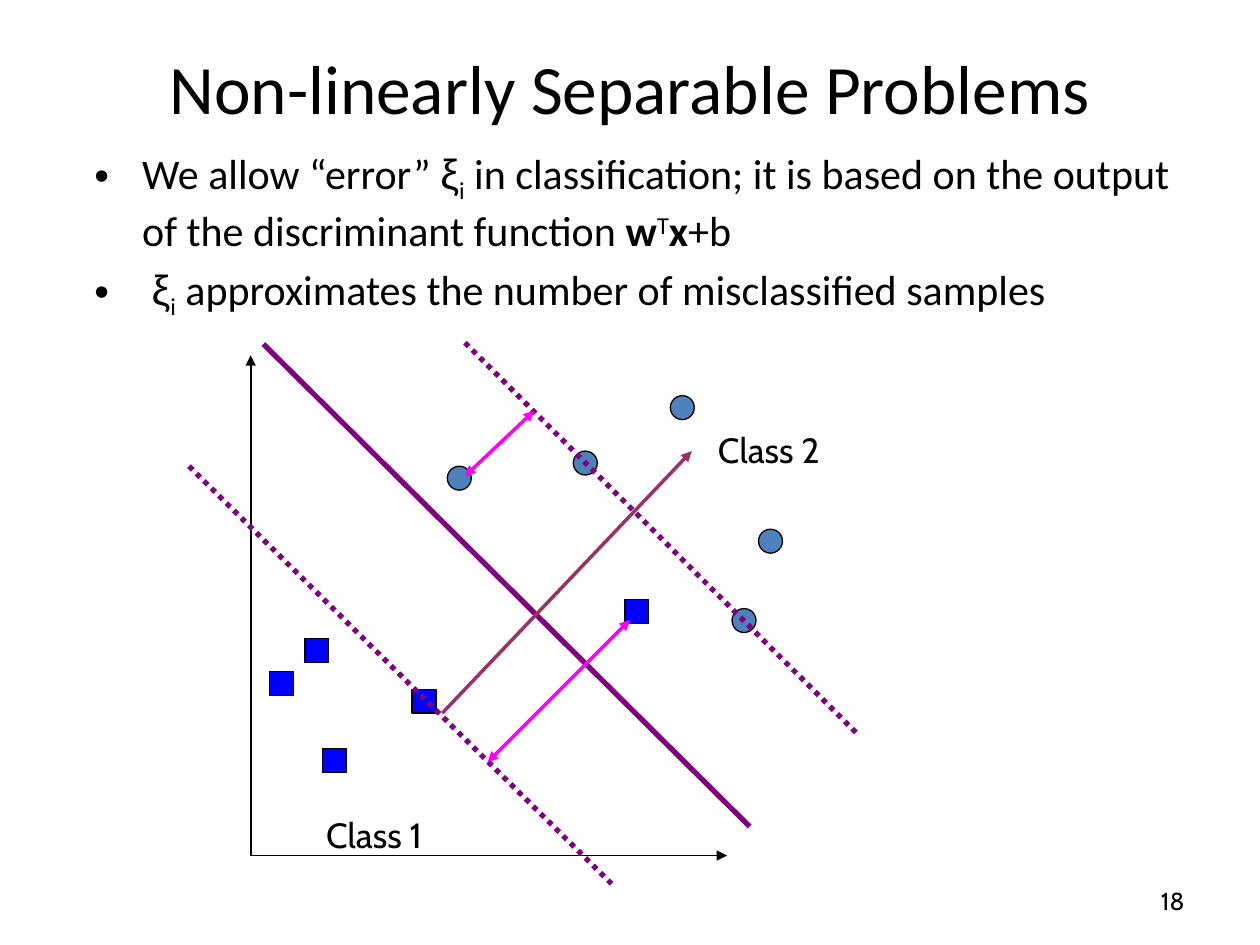
from dataclasses import dataclass

from lxml import etree
from pptx import Presentation
from pptx.dml.color import RGBColor
from pptx.enum.dml import MSO_LINE
from pptx.enum.shapes import MSO_CONNECTOR, MSO_SHAPE
from pptx.enum.text import MSO_ANCHOR, MSO_AUTO_SIZE, PP_ALIGN
from pptx.oxml.ns import qn
from pptx.util import Inches, Pt

STRAIGHT = MSO_CONNECTOR.STRAIGHT
OVAL, SQUARE = MSO_SHAPE.OVAL, MSO_SHAPE.RECTANGLE
DOTTED = MSO_LINE.ROUND_DOT
LEFT, CENTER, RIGHT = PP_ALIGN.LEFT, PP_ALIGN.CENTER, PP_ALIGN.RIGHT
TOP, MIDDLE = MSO_ANCHOR.TOP, MSO_ANCHOR.MIDDLE
GROW = MSO_AUTO_SIZE.SHAPE_TO_FIT_TEXT

COLORS = {
    "text": "000000",
    "axis": "000000",
    "class 1": "0000FF",
    "class 2": "4F81BD",
    "boundary": "800080",
    "normal": "993366",
    "error": "FF00FF",
}
MARKER_SIZE = 0.19
BULLET_INDENT = 0.38


@dataclass
class TextRun:
    text: str
    font: str = "Calibri"
    bold: bool = False
    baseline: int = 0  # percent of the text size


@dataclass
class Label:
    box: tuple[float, float, float, float]
    text: str
    size: float
    font: str = "Cabin"
    align: PP_ALIGN = LEFT
    anchor: MSO_ANCHOR = TOP
    wrap: bool = True


@dataclass
class Line:
    start: tuple[float, float]
    end: tuple[float, float]
    color: str
    width: float
    arrows: tuple[str, ...] = ()
    dotted: bool = False


LABELS = [
    Label((0.5, 0.3, 9, 0.78), "Non-linearly Separable Problems", 39.6,
          "Calibri", CENTER, MIDDLE),
    Label((7.17, 6.95, 2.33, 0.4), "18", 14, align=RIGHT, anchor=MIDDLE),
]
CLASS_LABELS = [
    Label((2.49, 6.41, 1.06, 0.43), "Class 1", 20, wrap=False),
    Label((5.6, 3.35, 1.06, 0.43), "Class 2", 20, wrap=False),
]

SLACK = [TextRun("ξ", "Arial"), TextRun("i", baseline=-25)]
BULLETS = [
    [
        TextRun("We allow “error” "),
        *SLACK,
        TextRun(" in classification; it is based on the output "
                "of the discriminant function "),
        TextRun("w", bold=True),
        TextRun("T", baseline=30),
        TextRun("x", bold=True),
        TextRun("+b"),
    ],
    [
        TextRun(" "),
        *SLACK,
        TextRun(" approximates the number of misclassified samples"),
    ],
]

ORIGIN = (1.99, 6.79)
AXES = [
    Line(ORIGIN, (1.99, 2.82), "axis", 1, ("tailEnd",)),
    Line(ORIGIN, (5.77, 6.79), "axis", 1, ("tailEnd",)),
]
CLASS_2_POINTS = [(4.55, 3.58), (5.32, 3.14), (5.81, 4.83), (3.55, 3.7), (6.02, 4.2)]
CLASS_1_POINTS = [(2.42, 5.07), (4.96, 4.76), (3.27, 5.47), (2.56, 5.94), (2.14, 5.33)]
SEPARATORS = [
    Line((3.69, 2.72), (6.81, 5.83), "boundary", 3, dotted=True),
    Line((1.5, 3.7), (4.87, 7.03), "boundary", 3, dotted=True),
    Line((2.09, 2.73), (5.95, 6.56), "boundary", 3),
    Line((3.51, 5.66), (5.49, 3.58), "normal", 2, ("tailEnd",)),
    Line((5, 4.92), (3.87, 6.05), "error", 2, ("headEnd", "tailEnd")),
    Line((4.24, 3.26), (3.69, 3.78), "error", 2, ("headEnd", "tailEnd")),
]


def rgb(name: str) -> RGBColor:
    return RGBColor.from_string(COLORS[name])


def format_font(font, **values) -> None:
    for name, value in values.items():
        setattr(font, name, value)
    font.color.rgb = rgb("text")


def add_label(slide, label: Label) -> None:
    shape = slide.shapes.add_textbox(*map(Inches, label.box))
    frame = shape.text_frame
    frame.word_wrap = label.wrap
    frame.vertical_anchor = label.anchor
    if not label.wrap:
        frame.auto_size = GROW
    paragraph = frame.paragraphs[0]
    paragraph.alignment = label.align
    run = paragraph.add_run()
    run.text = label.text
    format_font(run.font, size=Pt(label.size), name=label.font)


def add_bullets(slide, bullets: list[list[TextRun]]) -> None:
    shape = slide.shapes.add_textbox(*map(Inches, (0.65, 1.12, 9, 4.95)))
    frame = shape.text_frame
    frame.word_wrap = True
    for index, text_runs in enumerate(bullets):
        paragraph = frame.add_paragraph() if index else frame.paragraphs[0]
        if index:
            paragraph.space_before = Pt(4.8)
        properties = paragraph._p.get_or_add_pPr()
        properties.set("marL", str(Inches(BULLET_INDENT)))
        properties.set("indent", str(-Inches(BULLET_INDENT)))
        etree.SubElement(properties, qn("a:buFont")).set("typeface", "Arial")
        etree.SubElement(properties, qn("a:buChar")).set("char", "•")
        for text_run in text_runs:
            run = paragraph.add_run()
            run.text = text_run.text
            format_font(run.font, size=Pt(24), name=text_run.font, bold=text_run.bold)
            if text_run.baseline:
                run._r.get_or_add_rPr().set("baseline", str(text_run.baseline * 1000))


def add_line(slide, line: Line) -> None:
    connector = slide.shapes.add_connector(
        STRAIGHT, *map(Inches, (*line.start, *line.end)))
    connector.line.color.rgb = rgb(line.color)
    connector.line.width = Pt(line.width)
    if line.dotted:
        connector.line.dash_style = DOTTED
    outline = connector.line._get_or_add_ln()
    for arrow in line.arrows:
        etree.SubElement(outline, qn(f"a:{arrow}")).set("type", "triangle")
    etree.SubElement(connector._element.spPr, qn("a:effectLst"))


def add_marker(slide, kind: MSO_SHAPE, left: float, top: float, color: str) -> None:
    shape = slide.shapes.add_shape(
        kind, *map(Inches, (left, top, MARKER_SIZE, MARKER_SIZE)))
    shape.shadow.inherit = False
    shape.fill.solid()
    shape.fill.fore_color.rgb = rgb(color)
    shape.line.color.rgb = rgb("axis")
    shape.line.width = Pt(0.75)


def main() -> None:
    presentation = Presentation()
    presentation.slide_width = Inches(10)
    presentation.slide_height = Inches(7.5)
    slide = presentation.slides.add_slide(presentation.slide_layouts[6])

    # Title, page number and explanation
    for label in LABELS:
        add_label(slide, label)
    add_bullets(slide, BULLETS)

    # Axes and samples of both classes
    for line in AXES:
        add_line(slide, line)
    for left, top in CLASS_2_POINTS:
        add_marker(slide, OVAL, left, top, "class 2")
    for left, top in CLASS_1_POINTS:
        add_marker(slide, SQUARE, left, top, "class 1")
    for label in CLASS_LABELS:
        add_label(slide, label)

    # Decision boundary, margins, normal and errors
    for line in SEPARATORS:
        add_line(slide, line)

    presentation.save("out.pptx")


if __name__ == "__main__":
    main()
